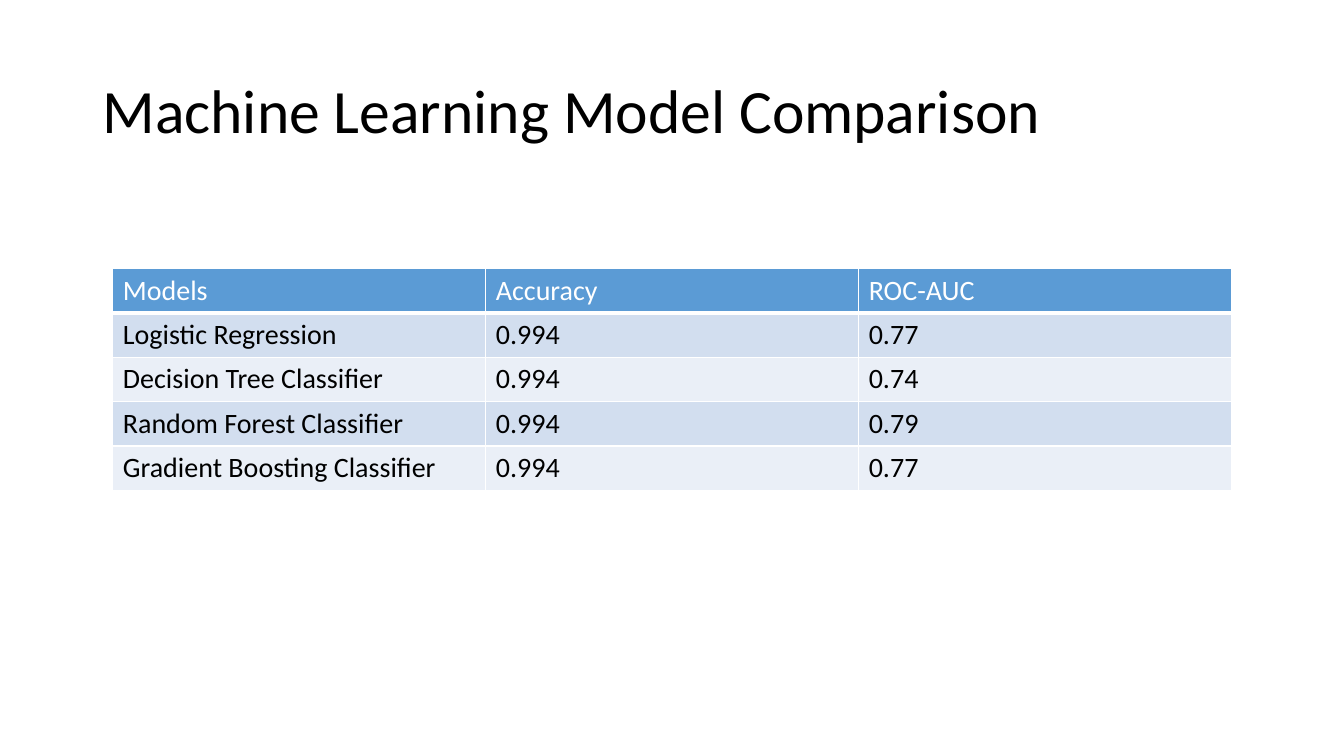
import pptx
import pptx.dml.color
import pptx.enum.text
import pptx.oxml
import pptx.oxml.ns
import pptx.util

Pt = pptx.util.Pt

COLORS = {
    "header": "5B9BD5",
    "band_dark": "D2DEEF",
    "band_light": "EAEFF7",
    "border": "FFFFFF",
    "header_text": "FFFFFF",
    "text": "000000",
}

MODEL_SCORES = [
    ("Models", "Accuracy", "ROC-AUC"),
    ("Logistic Regression", "0.994", "0.77"),
    ("Decision Tree Classifier", "0.994", "0.74"),
    ("Random Forest Classifier", "0.994", "0.79"),
    ("Gradient Boosting Classifier", "0.994", "0.77"),
]


class SlideBuilder:
    """Hold the style and the current slide, and add elements to it."""

    def __init__(self, slide, font="Calibri"):
        self.slide = slide
        self.font = font

    def color(self, name):
        return pptx.dml.color.RGBColor.from_string(COLORS[name])

    def style(self, paragraph, size, color):
        for run in paragraph.runs:
            run.font.name = self.font
            run.font.size = Pt(size)
            run.font.bold = False
            run.font.color.rgb = self.color(color)

    def title(self, text, left, top, width, height):
        title = self.slide.shapes.title
        title.left, title.top = Pt(left), Pt(top)
        title.width, title.height = Pt(width), Pt(height)
        frame = title.text_frame
        frame.text = text
        frame.word_wrap = True
        frame.vertical_anchor = pptx.enum.text.MSO_ANCHOR.MIDDLE
        heading = frame.paragraphs[0]
        heading.alignment = pptx.enum.text.PP_ALIGN.LEFT
        heading.line_spacing = 0.9
        self.style(heading, 44, "text")

    def borders(self, cell, bottom):
        properties = cell._tc.get_or_add_tcPr()
        for side, width in (("L", 1), ("R", 1), ("T", 1), ("B", bottom)):
            properties.append(pptx.oxml.parse_xml(
                f'<a:ln{side} {pptx.oxml.ns.nsdecls("a")} w="{Pt(width)}">'
                f'<a:solidFill><a:srgbClr val="{COLORS["border"]}"/></a:solidFill>'
                f'</a:ln{side}>'))

    def table(self, rows, left, top, column_width, row_height):
        columns = len(rows[0])
        table = self.slide.shapes.add_table(
            len(rows), columns, Pt(left), Pt(top),
            Pt(column_width * columns), Pt(row_height * len(rows))).table
        for row_index, row in enumerate(rows):
            is_header = row_index == 0
            band = "band_dark" if row_index % 2 else "band_light"
            for column_index, value in enumerate(row):
                cell = table.cell(row_index, column_index)
                cell.text_frame.text = value
                self.style(cell.text_frame.paragraphs[0], 20,
                           "header_text" if is_header else "text")
                self.borders(cell, 3 if is_header else 1)
                cell.fill.solid()
                cell.fill.fore_color.rgb = self.color("header" if is_header else band)


def main():
    deck = pptx.Presentation()
    deck.slide_width, deck.slide_height = Pt(960), Pt(540)
    builder = SlideBuilder(deck.slides.add_slide(deck.slide_layouts[5]))
    builder.title("Machine Learning Model Comparison", 66, 28.75, 828, 104.4)
    builder.table(MODEL_SCORES, 80.6, 191.7, 266.4, 31.7)
    deck.save("out.pptx")


if __name__ == "__main__":
    main()
